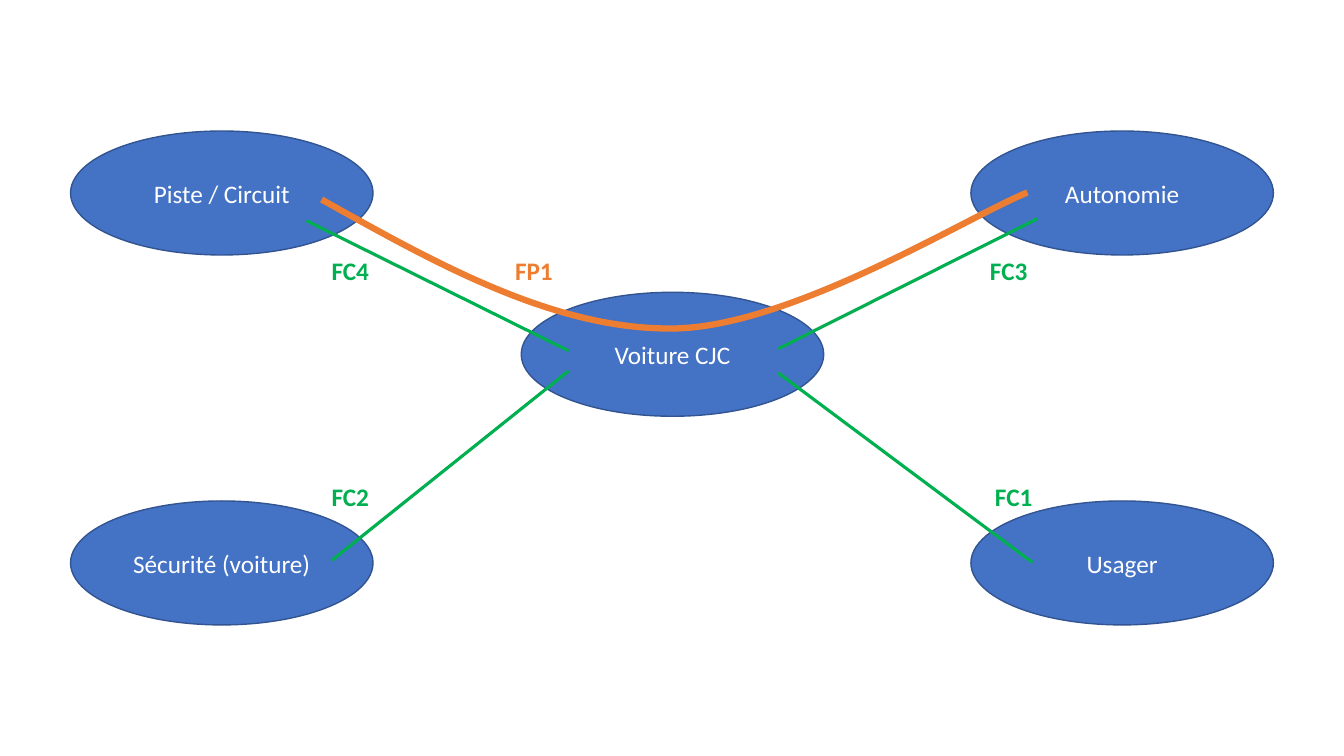
from lxml import etree
from pptx import Presentation
from pptx import util as u
from pptx.dml.color import RGBColor
from pptx.enum import shapes, text
from pptx.oxml.ns import qn

COLOURS = {
    "ellipse": "4472C4",
    "outline": "325491",
    "white": "FFFFFF",
    "principal": "ED7D31",
    "constraint": "00B050",
}
FONT = {"name": "Calibri", "size": u.Pt(18)}

LEFT, RIGHT, TOP, BOTTOM = 0.7, 9.63, 1.3, 4.97
ELLIPSES = [
    ("Voiture CJC", 5.17, 2.9),
    ("Piste / Circuit", LEFT, TOP),
    ("Autonomie", RIGHT, TOP),
    ("Sécurité (voiture)", LEFT, BOTTOM),
    ("Usager", RIGHT, BOTTOM),
]
# Start point, then two control points and an end point for each segment
PRINCIPAL_CURVE = [
    (3.19, 1.98),
    (4.35, 2.63), (5.5, 3.27), (6.67, 3.26),
    (7.84, 3.25), (9.6, 2.15), (10.19, 1.91),
]
# Name, line start, line end, label position
CONSTRAINTS = [
    ("FC1", (7.72, 3.7), (10.24, 5.58), (9.77, 4.73)),
    ("FC2", (5.64, 3.68), (3.29, 5.56), (3.19, 4.73)),
    ("FC3", (7.72, 3.46), (10.29, 2.17), (9.72, 2.48)),
    ("FC4", (5.64, 3.48), (3.04, 2.19), (3.19, 2.48)),
]


class Diagram:
    def __init__(self, slide):
        self.slide = slide

    def style_line(self, line, colour, width):
        line.color.rgb = RGBColor.from_string(COLOURS[colour])
        line.width = u.Pt(width)

    def set_text(self, shape, words, colour, **formats):
        shape.text_frame.text = words
        font = shape.text_frame.paragraphs[0].runs[0].font
        for name, value in {**FONT, **formats}.items():
            setattr(font, name, value)
        font.color.rgb = RGBColor.from_string(COLOURS[colour])

    def ellipse(self, words, left, top):
        shape = self.slide.shapes.add_shape(
            shapes.MSO_SHAPE.OVAL,
            u.Inches(left), u.Inches(top), u.Inches(3), u.Inches(1.23))
        shape.shadow.inherit = False
        shape.fill.solid()
        shape.fill.fore_color.rgb = RGBColor.from_string(COLOURS["ellipse"])
        self.style_line(shape.line, "outline", 1)
        self.set_text(shape, words, "white")
        shape.text_frame.vertical_anchor = text.MSO_ANCHOR.MIDDLE
        shape.text_frame.paragraphs[0].alignment = text.PP_ALIGN.CENTER

    def line(self, start, end, colour, width):
        connector = self.slide.shapes.add_connector(
            shapes.MSO_CONNECTOR.STRAIGHT,
            *(u.Inches(value) for value in start + end))
        self.style_line(connector.line, colour, width)
        etree.SubElement(connector._element.spPr, qn("a:effectLst"))

    def curve(self, points, colour, width):
        """Draw a polyline through all points, then group them into Béziers."""
        emu = [(u.Inches(x), u.Inches(y)) for x, y in points]
        builder = self.slide.shapes.build_freeform(*emu[0])
        builder.add_line_segments(emu[1:], close=False)
        shape = builder.convert_to_shape()
        shape.shadow.inherit = False
        shape.fill.background()
        self.style_line(shape.line, colour, width)
        segments = list(shape._element.iter(qn("a:lnTo")))
        outline = segments[0].getparent()
        for first in range(0, len(segments), 3):
            bezier = etree.SubElement(outline, qn("a:cubicBezTo"))
            for segment in segments[first:first + 3]:
                bezier.append(segment[0])
                outline.remove(segment)

    def label(self, words, left, top, colour):
        box = self.slide.shapes.add_textbox(
            u.Inches(left), u.Inches(top), u.Inches(0.84), u.Inches(0.4))
        box.text_frame.word_wrap = True
        self.set_text(box, words, colour, bold=True)


def main():
    presentation = Presentation()
    presentation.slide_width = u.Inches(13.33)
    presentation.slide_height = u.Inches(7.5)
    blank = presentation.slide_layouts[6]
    diagram = Diagram(presentation.slides.add_slide(blank))

    for ellipse in ELLIPSES:
        diagram.ellipse(*ellipse)
    diagram.curve(PRINCIPAL_CURVE, "principal", 4.5)
    diagram.label("FP1", 5.01, 2.48, "principal")
    for name, start, end, place in CONSTRAINTS:
        diagram.line(start, end, "constraint", 2.25)
        diagram.label(name, *place, "constraint")

    presentation.save("out.pptx")


if __name__ == "__main__":
    main()
